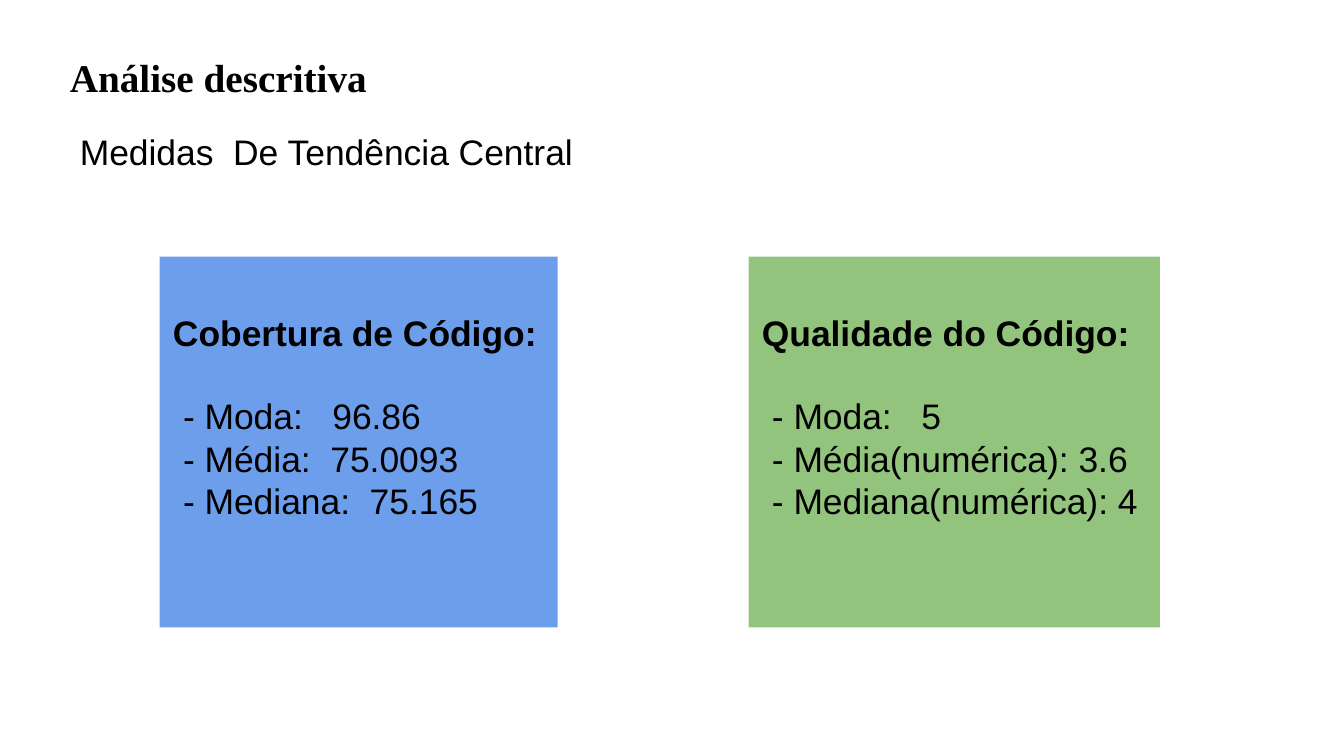
import pptx
import pptx.dml.color
import pptx.enum.shapes
import pptx.enum.text
import pptx.util

Cm = pptx.util.Cm
Anchor = pptx.enum.text.MSO_ANCHOR
PAD = 0.25
LINE = 21.85  # height of one body line in points


def color(code):
    return pptx.dml.color.RGBColor.from_string(code)


class Deck:
    """Holds the text style and the current slide."""

    body = {"name": "Arial", "size": pptx.util.Pt(19), "bold": False}
    head = {**body, "bold": True}
    title = {"name": "Times New Roman", "size": pptx.util.Pt(21), "bold": True}
    ink = "000000"

    def __init__(self, wide, high):
        self.file = pptx.Presentation()
        self.file.slide_width, self.file.slide_height = Cm(wide), Cm(high)
        self.slide = self.file.slides.add_slide(self.file.slide_layouts[6])

    def frame(self, shape, anchor, top=PAD):
        frame = shape.text_frame
        form = {
            "word_wrap": True,
            "vertical_anchor": anchor,
            "margin_left": Cm(PAD),
            "margin_right": Cm(PAD),
            "margin_top": Cm(top),
            "margin_bottom": Cm(PAD),
        }
        for key, value in form.items():
            setattr(frame, key, value)
        return frame

    def line(self, para, text, style, indent=0):
        para.alignment = pptx.enum.text.PP_ALIGN.LEFT
        para._p.get_or_add_pPr().set("marL", str(Cm(indent)))
        run = para.add_run()
        run.text = text
        for key, value in style.items():
            setattr(run.font, key, value)
        run.font.color.rgb = color(self.ink)

    def label(self, text, area, style, anchor=Anchor.TOP, indent=0):
        box = self.slide.shapes.add_textbox(*map(Cm, area))
        frame = self.frame(box, anchor)
        self.line(frame.paragraphs[0], text, style, indent)

    def card(self, area, fill, head, rows):
        kind = pptx.enum.shapes.MSO_SHAPE.RECTANGLE
        box = self.slide.shapes.add_shape(kind, *map(Cm, area))
        box.shadow.inherit = False
        box.fill.solid()
        box.fill.fore_color.rgb = color(fill)
        box.line.fill.background()
        # The heading starts one line below the top
        frame = self.frame(box, Anchor.TOP, top=1.03)
        first = frame.paragraphs[0]
        self.line(first, head, self.head)
        first.space_after = pptx.util.Pt(LINE)
        for row in rows:
            self.line(frame.add_paragraph(), row, self.body, indent=0.19)


def main():
    deck = Deck(25.4, 14.29)

    # Title and subtitle
    deck.label("Análise descritiva", (1.07, 0.69, 6.17, 1.52), deck.title,
               Anchor.MIDDLE)
    deck.label("Medidas  De Tendência Central", (1.07, 2.21, 21.21, 2.13),
               deck.body, indent=0.19)

    # Cards with the measures
    cards = [
        (3.02, 7.52, "6D9EEB", "Cobertura de Código:",
         ["- Moda:   96.86", "- Média:  75.0093", "- Mediana:  75.165"]),
        (14.15, 7.77, "93C47D", "Qualidade do Código:",
         ["- Moda:   5", "- Média(numérica): 3.6", "- Mediana(numérica): 4"]),
    ]
    for left, wide, fill, head, rows in cards:
        deck.card((left, 4.85, wide, 7.01), fill, head, rows)

    deck.file.save("out.pptx")


if __name__ == "__main__":
    main()
